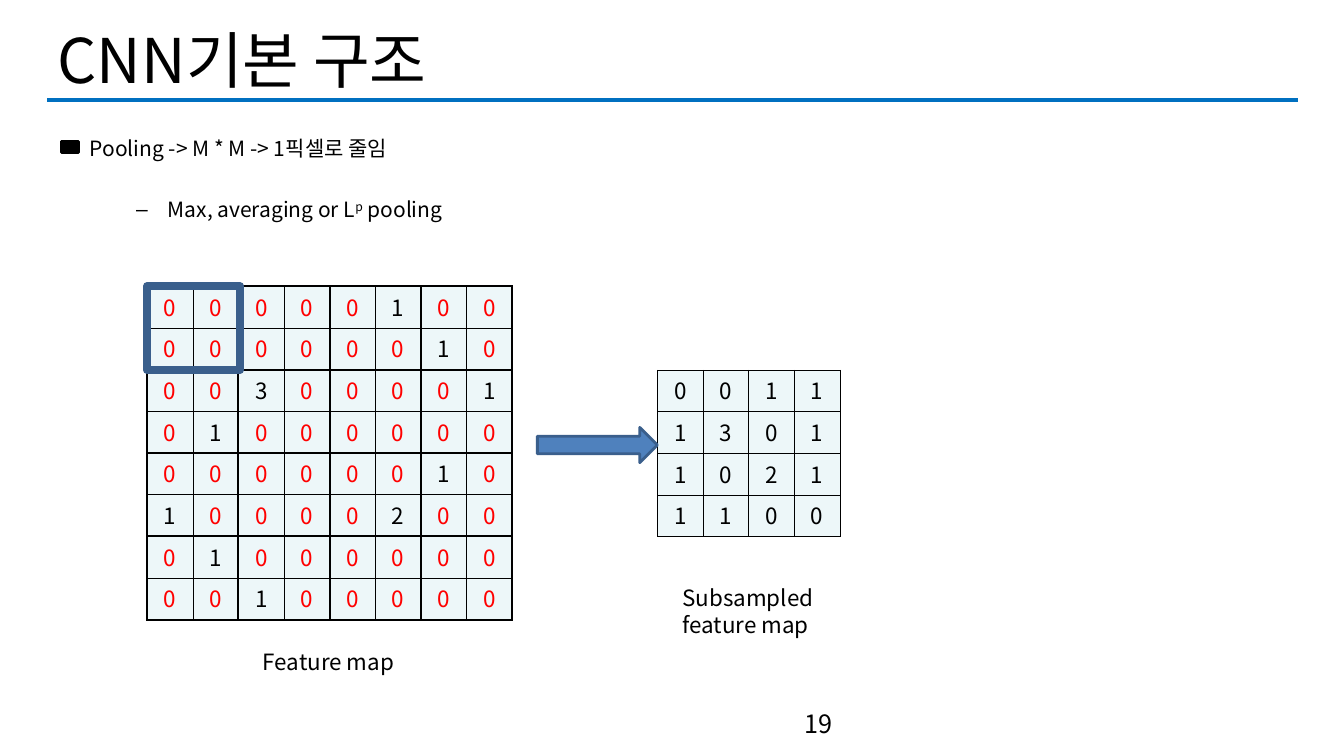
from dataclasses import dataclass

from lxml import etree
from pptx import Presentation
from pptx.dml.color import RGBColor
from pptx.enum.shapes import MSO_CONNECTOR, MSO_SHAPE
from pptx.enum.text import MSO_ANCHOR, MSO_AUTO_SIZE, PP_ALIGN
from pptx.oxml.ns import qn
from pptx.util import Inches, Pt

LEFT, CENTER = PP_ALIGN.LEFT, PP_ALIGN.CENTER
TOP, MIDDLE = MSO_ANCHOR.TOP, MSO_ANCHOR.MIDDLE
NO_FIT, GROW = MSO_AUTO_SIZE.NONE, MSO_AUTO_SIZE.SHAPE_TO_FIT_TEXT
RECT, RIGHT_ARROW = MSO_SHAPE.RECTANGLE, MSO_SHAPE.RIGHT_ARROW
STRAIGHT = MSO_CONNECTOR.STRAIGHT

FONT = "Noto Sans CJK KR"
COLORS = {
    "text": "000000",
    "zero": "FF0000",
    "rule": "0070C0",
    "cell": "EDF7F9",
    "arrow": "4F81BD",
    "outline": "3A5F8C",
}
CELL_W, CELL_H = 3.62 / 8, 3.31 / 8
THIN, THICK = 0.25, 1.5


@dataclass
class Label:
    lines: list[str]
    box: tuple[float, float, float, float]
    size: int
    wrap: bool = True
    fit: MSO_AUTO_SIZE = GROW


@dataclass
class Grid:
    rows: list[str]
    left: float
    top: float
    zero_color: str
    block: int


@dataclass
class Block:
    kind: MSO_SHAPE
    box: tuple[float, float, float, float]
    fill: str | None
    line: str
    width: float


LABELS = [
    Label(["Pooling -> M * M -> 1픽셀로 줄임"], (0.79, 1.29, 9.28, 0.35), 15),
    Label(["19"], (7.88, 6.98, 2.08, 0.5), 18, fit=NO_FIT),
    Label(["Feature map"], (2.51, 6.38, 1.51, 0.37), 16, wrap=False),
    Label(["Subsampled", "feature map"], (6.67, 5.75, 1.51, 0.64), 16, wrap=False),
]
GRIDS = [
    Grid(["00000100", "00000010", "00300001", "01000000",
          "00000010", "10000200", "01000000", "00100000"], 1.46, 2.84, "zero", 2),
    Grid(["0011", "1301", "1021", "1100"], 6.52, 3.67, "text", 0),
]
BLOCKS = [
    Block(RECT, (0.61, 1.4, 0.17, 0.11), "text", "text", 2),
    Block(RIGHT_ARROW, (5.33, 4.24, 1.19, 0.35), "arrow", "outline", 2),
    Block(RECT, (1.46, 2.84, 0.92, 0.83), None, "outline", 6),
]


def rgb(name: str) -> RGBColor:
    return RGBColor.from_string(COLORS[name])


def place(sp, box: tuple[float, float, float, float]) -> None:
    sp.left, sp.top, sp.width, sp.height = map(Inches, box)


def add_run(p, text: str, size: int, color: str = "text"):
    p.line_spacing = Pt(size * 1.2)
    r = p.add_run()
    r.text = text
    r.font.size = Pt(size)
    r.font.color.rgb = rgb(color)
    r.font.name = FONT
    rPr = r._r.get_or_add_rPr()
    etree.SubElement(rPr, qn("a:ea")).set("typeface", FONT)
    return r


def add_title(sp) -> None:
    place(sp, (0.47, 0.12, 4.69, 0.84))
    tf = sp.text_frame
    tf.auto_size, tf.vertical_anchor = GROW, TOP
    tf.margin_top = Inches(0.1)
    p = tf.paragraphs[0]
    p.alignment = LEFT
    add_run(p, "CNN기본 구조", 44)


def add_body(sp) -> None:
    place(sp, (0.75, 1.39, 8.5, 5.28))
    tf = sp.text_frame
    tf.auto_size, tf.vertical_anchor = NO_FIT, TOP
    tf.margin_top = Inches(0.56)
    p = tf.paragraphs[0]
    p.level = 1
    p.space_before = Pt(0)
    add_run(p, "Max, averaging or L", 15)
    power = add_run(p, "p", 15)
    power._r.get_or_add_rPr().set("baseline", "30000")
    add_run(p, " pooling", 15)


def add_label(slide, label: Label) -> None:
    tf = slide.shapes.add_textbox(*map(Inches, label.box)).text_frame
    tf.word_wrap, tf.auto_size = label.wrap, label.fit
    for i, line in enumerate(label.lines):
        p = tf.add_paragraph() if i else tf.paragraphs[0]
        add_run(p, line, 16 if label.size == 16 else label.size)


def add_borders(cell, widths: dict[str, float]) -> None:
    tcPr = cell._tc.get_or_add_tcPr()
    for i, (side, width) in enumerate(widths.items()):
        ln = etree.Element(qn(f"a:ln{side}"), w=str(Pt(width)))
        fill = etree.SubElement(ln, qn("a:solidFill"))
        etree.SubElement(fill, qn("a:srgbClr")).set("val", COLORS["text"])
        tcPr.insert(i, ln)


def edge(index: int, block: int) -> float:
    return THICK if block and index % block == 0 else THIN


def add_grid(slide, grid: Grid) -> None:
    n = len(grid.rows)
    frame = slide.shapes.add_table(
        n, n, Inches(grid.left), Inches(grid.top),
        Inches(n * CELL_W), Inches(n * CELL_H))
    table = frame.table
    table.first_row = table.horz_banding = False
    for i in range(n):
        table.columns[i].width = Inches(CELL_W)
        table.rows[i].height = Inches(CELL_H)
    for row, digits in enumerate(grid.rows):
        for col, digit in enumerate(digits):
            cell = table.cell(row, col)
            cell.fill.solid()
            cell.fill.fore_color.rgb = rgb("cell")
            cell.vertical_anchor = MIDDLE
            cell.margin_top, cell.margin_bottom = Inches(0.07), Inches(0.03)
            p = cell.text_frame.paragraphs[0]
            p.alignment = CENTER
            add_run(p, digit, 16, grid.zero_color if digit == "0" else "text")
            add_borders(cell, {
                "L": edge(col, grid.block), "R": edge(col + 1, grid.block),
                "T": edge(row, grid.block), "B": edge(row + 1, grid.block)})


def add_block(slide, block: Block) -> None:
    sp = slide.shapes.add_shape(block.kind, *map(Inches, block.box))
    sp.shadow.inherit = False
    if block.fill:
        sp.fill.solid()
        sp.fill.fore_color.rgb = rgb(block.fill)
    else:
        sp.fill.background()
    sp.line.color.rgb = rgb(block.line)
    sp.line.width = Pt(block.width)


def add_rule(slide) -> None:
    rule = slide.shapes.add_connector(
        STRAIGHT, Inches(0.47), Inches(0.99), Inches(12.87), Inches(0.99))
    rule.line.color.rgb = rgb("rule")
    rule.line.width = Pt(3)
    etree.SubElement(rule._element.spPr, qn("a:effectLst"))


def main() -> None:
    prs = Presentation()
    prs.slide_width, prs.slide_height = Inches(13.33), Inches(7.5)
    slide = prs.slides.add_slide(prs.slide_layouts[1])
    add_title(slide.shapes.title)
    add_body(slide.placeholders[1])
    add_rule(slide)
    for label in LABELS:
        add_label(slide, label)
    for grid in GRIDS:
        add_grid(slide, grid)
    for block in BLOCKS:
        add_block(slide, block)
    prs.save("out.pptx")


if __name__ == "__main__":
    main()
